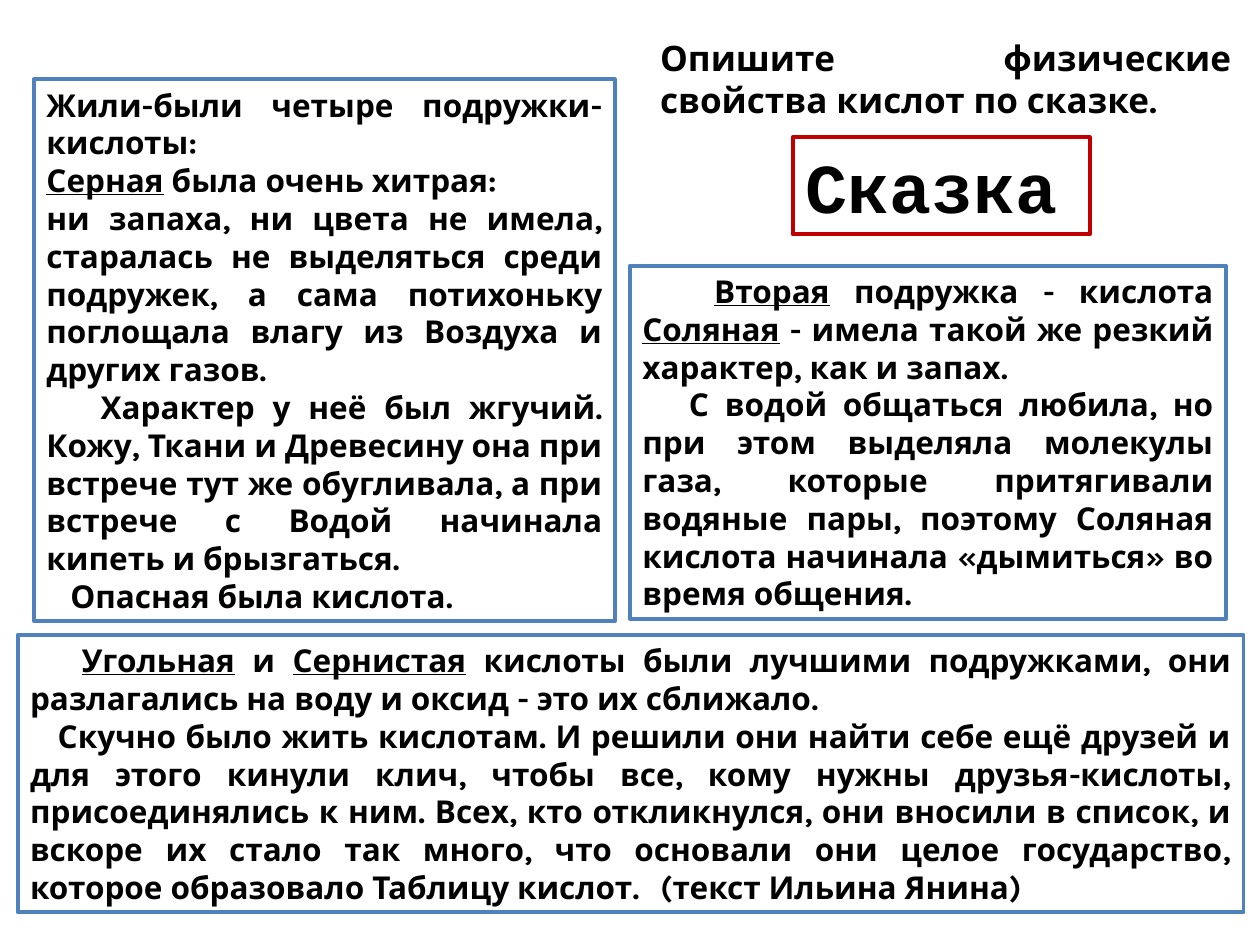
from dataclasses import dataclass

from lxml.etree import SubElement
from pptx import Presentation
from pptx.dml.color import RGBColor
from pptx.enum.text import MSO_ANCHOR, MSO_AUTO_SIZE, PP_ALIGN
from pptx.oxml.ns import qn
from pptx.util import Inches, Pt


@dataclass(frozen=True)
class Theme:
    """Colours, fonts and sizes of the slide."""
    text: RGBColor = RGBColor(0x00, 0x00, 0x00)
    story_line: RGBColor = RGBColor(0x4F, 0x81, 0xBD)
    title_line: RGBColor = RGBColor(0xC0, 0x00, 0x00)
    body_font: str = "Karla"
    title_font: str = "Courier New"
    story_size: int = 18
    task_size: int = 20
    title_size: int = 40
    line_width: float = 2.25


class StorySlide:
    """Places story elements on a grid of 100 columns and 75 rows."""

    def __init__(self, presentation, theme):
        """Add a title-only slide."""
        self.theme = theme
        self.slide = presentation.slides.add_slide(presentation.slide_layouts[5])
        self.column = presentation.slide_width / 100
        self.row = presentation.slide_height / 75

    def area(self, left, top, width, height):
        """Turn grid units into slide lengths."""
        return (round(left * self.column), round(top * self.row),
                round(width * self.column), round(height * self.row))

    def outline(self, shape, color):
        """Draw the frame of a shape."""
        shape.line.color.rgb = color
        shape.line.width = Pt(self.theme.line_width)

    def format_run(self, run, size, font_name):
        """Apply the bold black style to a run."""
        run.font.size = Pt(size)
        run.font.name = font_name
        run.font.bold = True
        run.font.color.rgb = self.theme.text

    def title(self, text, *place):
        """Fill and frame the title placeholder."""
        shape = self.slide.shapes.title
        shape.left, shape.top, shape.width, shape.height = self.area(*place)
        frame = shape.text_frame
        frame.text = text
        frame.word_wrap = True
        frame.auto_size = MSO_AUTO_SIZE.NONE
        frame.vertical_anchor = MSO_ANCHOR.TOP
        paragraph = frame.paragraphs[0]
        paragraph.alignment = PP_ALIGN.LEFT
        self.format_run(paragraph.runs[0], self.theme.title_size, self.theme.title_font)
        self.outline(shape, self.theme.title_line)

    def text(self, paragraphs, size, *place):
        """Add justified text from pairs of indent and wording, underlined between bars."""
        shape = self.slide.shapes.add_textbox(*self.area(*place))
        frame = shape.text_frame
        frame.word_wrap = True
        frame.auto_size = MSO_AUTO_SIZE.SHAPE_TO_FIT_TEXT
        for index, (indent, wording) in enumerate(paragraphs):
            paragraph = frame.add_paragraph() if index else frame.paragraphs[0]
            paragraph.alignment = PP_ALIGN.JUSTIFY
            properties = paragraph._p.get_or_add_pPr()
            properties.set("indent", str(Inches(indent)))
            if "\t" in wording:
                tabs = SubElement(properties, qn("a:tabLst"))
                SubElement(tabs, qn("a:tab"), pos=str(Inches(6.17)), algn="l")
            for part, piece in enumerate(wording.split("|")):
                if piece:
                    run = paragraph.add_run()
                    run.text = piece
                    self.format_run(run, size, self.theme.body_font)
                    run.font.underline = part % 2 == 1
        return shape

    def story(self, paragraphs, *place):
        """Add a framed part of the story."""
        shape = self.text(paragraphs, self.theme.story_size, *place)
        self.outline(shape, self.theme.story_line)


SULFURIC = [
    (0, "Жили-были четыре подружки-кислоты:"),
    (0, "|Серная| была очень хитрая:"),
    (0, "ни запаха, ни цвета не имела, старалась не выделяться среди подружек, "
        "а сама потихоньку поглощала влагу из Воздуха и других газов."),
    (0.43, "Характер у неё был жгучий. Кожу, Ткани и Древесину она при встрече "
           "тут же обугливала, а при встрече с Водой начинала кипеть и брызгаться."),
    (0.19, "Опасная была кислота."),
]
HYDROCHLORIC = [
    (0.57, "|Вторая| подружка - кислота |Соляная| - имела такой же резкий характер, "
           "как и запах."),
    (0.37, "С водой общаться любила, но при этом выделяла молекулы газа, которые "
           "притягивали водяные пары, поэтому Соляная кислота начинала «дымиться» "
           "во время общения."),
]
CARBONIC = [
    (0.41, "|Угольная| и |Сернистая| кислоты были лучшими подружками, они разлагались "
           "на воду и оксид - это их сближало."),
    (0.22, "Скучно было жить кислотам. И решили они найти себе ещё друзей и для этого "
           "кинули клич, чтобы все, кому нужны друзья-кислоты, присоединялись к ним. "
           "Всех, кто откликнулся, они вносили в список, и вскоре их стало так много, "
           "что основали они целое государство, которое образовало Таблицу кислот."
           "\t(текст Ильина Янина)"),
]


def main():
    """Build and save the slide."""
    presentation = Presentation()
    presentation.slide_width = Inches(10)
    presentation.slide_height = Inches(7.5)
    theme = Theme()
    page = StorySlide(presentation, theme)
    page.story(SULFURIC, 2.7, 6.3, 46.1, 43)
    page.story(HYDROCHLORIC, 50, 21.1, 47.3, 28)
    page.story(CARBONIC, 1.4, 50.4, 97.3, 22)
    page.text([(0, "Опишите физические свойства кислот по сказке.")],
              theme.task_size, 51.4, 2.4, 47.3, 7.7)
    page.title("Сказка", 62.9, 10.9, 23.6, 7.7)
    presentation.save("out.pptx")


if __name__ == "__main__":
    main()
